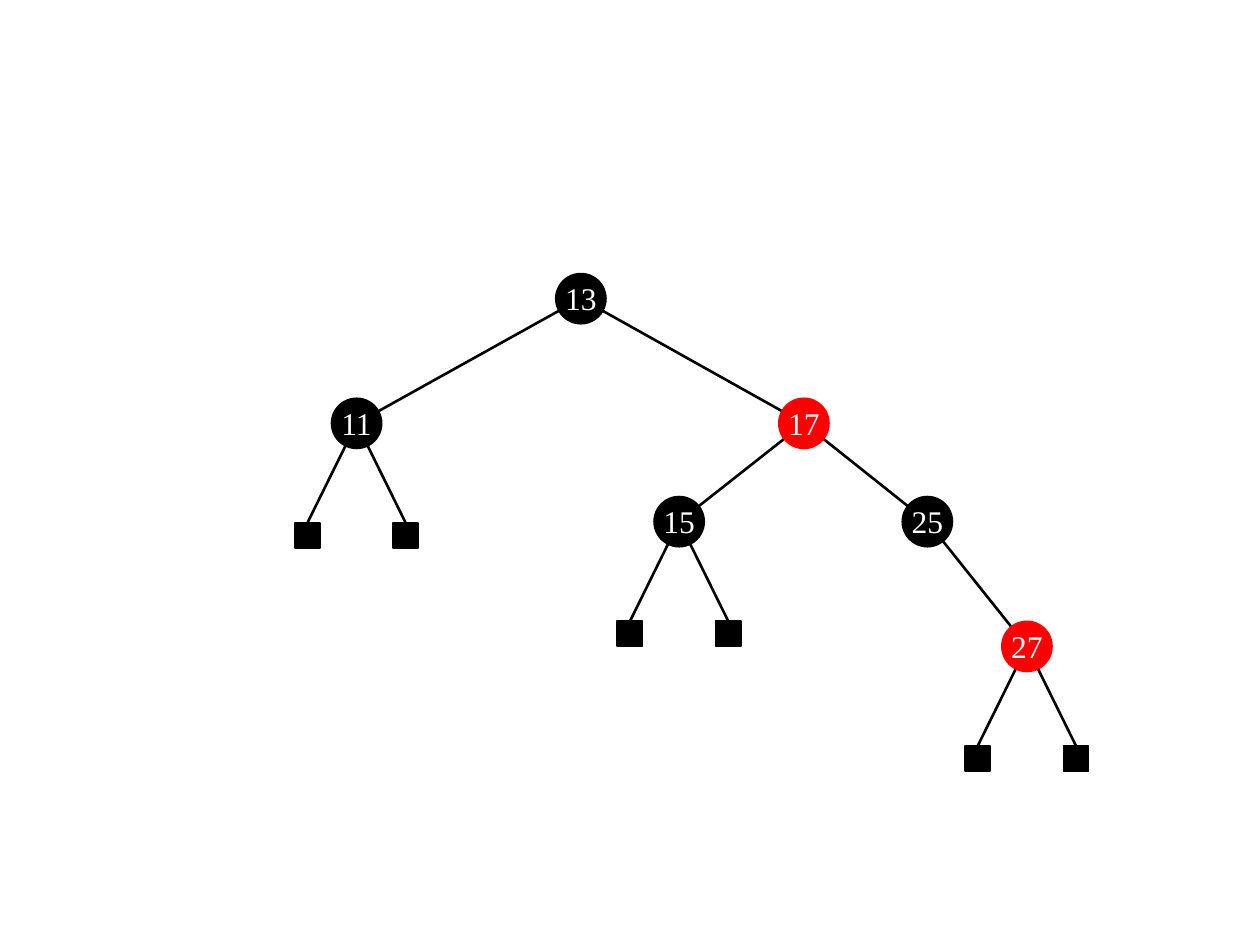
from pptx import Presentation
from pptx.dml.color import RGBColor as Rgb
from pptx.enum.shapes import MSO_CONNECTOR as Link, MSO_SHAPE as Kind
from pptx.enum.text import MSO_ANCHOR as Anchor, PP_ALIGN as Align
from pptx.oxml.ns import qn
from pptx.util import Inches, Pt
from lxml.etree import SubElement

HUES = {"black": "000000", "red": "FF0000", "white": "FFFFFF"}

NODES = {
    "13": (4.61, 2.37, "black"),
    "11": (2.83, 3.36, "black"),
    "17": (6.38, 3.36, "red"),
    "15": (5.39, 4.14, "black"),
    "25": (7.36, 4.14, "black"),
    "27": (8.15, 5.13, "red"),
}
EDGES = [("13", "11"), ("13", "17"), ("17", "15"), ("17", "25"), ("25", "27")]
ENDS = ["11", "15", "27"]


class Tree:
    font = "Times New Roman"
    size = 18
    width = 1.5
    node = 0.39
    leaf = 0.2
    side = 0.39
    drop = 0.79

    def __init__(self, slide):
        self.slide = slide

    def hue(self, name):
        return Rgb.from_string(HUES[name])

    def shape(self, kind, left, top, size, hue, width):
        item = self.slide.shapes.add_shape(
            kind, Inches(left), Inches(top), Inches(size), Inches(size))
        item.shadow.inherit = False
        item.fill.solid()
        item.fill.fore_color.rgb = self.hue(hue)
        item.line.color.rgb = self.hue(hue)
        item.line.width = Pt(width)
        return item

    def add_edge(self, x, y, to_x, to_y):
        edge = self.slide.shapes.add_connector(
            Link.STRAIGHT, Inches(x), Inches(y), Inches(to_x), Inches(to_y))
        edge.line.color.rgb = self.hue("black")
        edge.line.width = Pt(self.width)
        SubElement(edge.line._get_or_add_ln().getparent(), qn("a:effectLst"))
        return edge

    def add_leaf(self, x, y, sign):
        mid, top = x + sign * self.side, y + self.drop
        leaf = self.shape(
            Kind.RECTANGLE, mid - self.leaf / 2, top, self.leaf, "black", 1)
        self.add_edge(x, y, mid, top).end_connect(leaf, 0)

    def add_node(self, text, x, y, hue):
        half = self.node / 2
        node = self.shape(
            Kind.OVAL, x - half, y - half, self.node, hue, self.width)
        frame = node.text_frame
        frame.margin_left = frame.margin_right = frame.margin_top = 0
        frame.margin_bottom = Inches(0.01)
        frame.vertical_anchor = Anchor.MIDDLE
        frame.word_wrap = False
        frame.text = text
        line = frame.paragraphs[0]
        line.alignment = Align.CENTER
        font = line.runs[0].font
        font.name = self.font
        font.size = Pt(self.size)
        font.color.rgb = self.hue("white")


def main():
    deck = Presentation()
    deck.slide_width, deck.slide_height = Inches(10), Inches(7.5)
    tree = Tree(deck.slides.add_slide(deck.slide_layouts[6]))
    for key in ENDS:
        x, y, _ = NODES[key]
        for sign in (-1, 1):
            tree.add_leaf(x, y, sign)
    for start, end in EDGES:
        tree.add_edge(*NODES[start][:2], *NODES[end][:2])
    for text, (x, y, hue) in NODES.items():
        tree.add_node(text, x, y, hue)
    deck.save("out.pptx")


if __name__ == "__main__":
    main()
